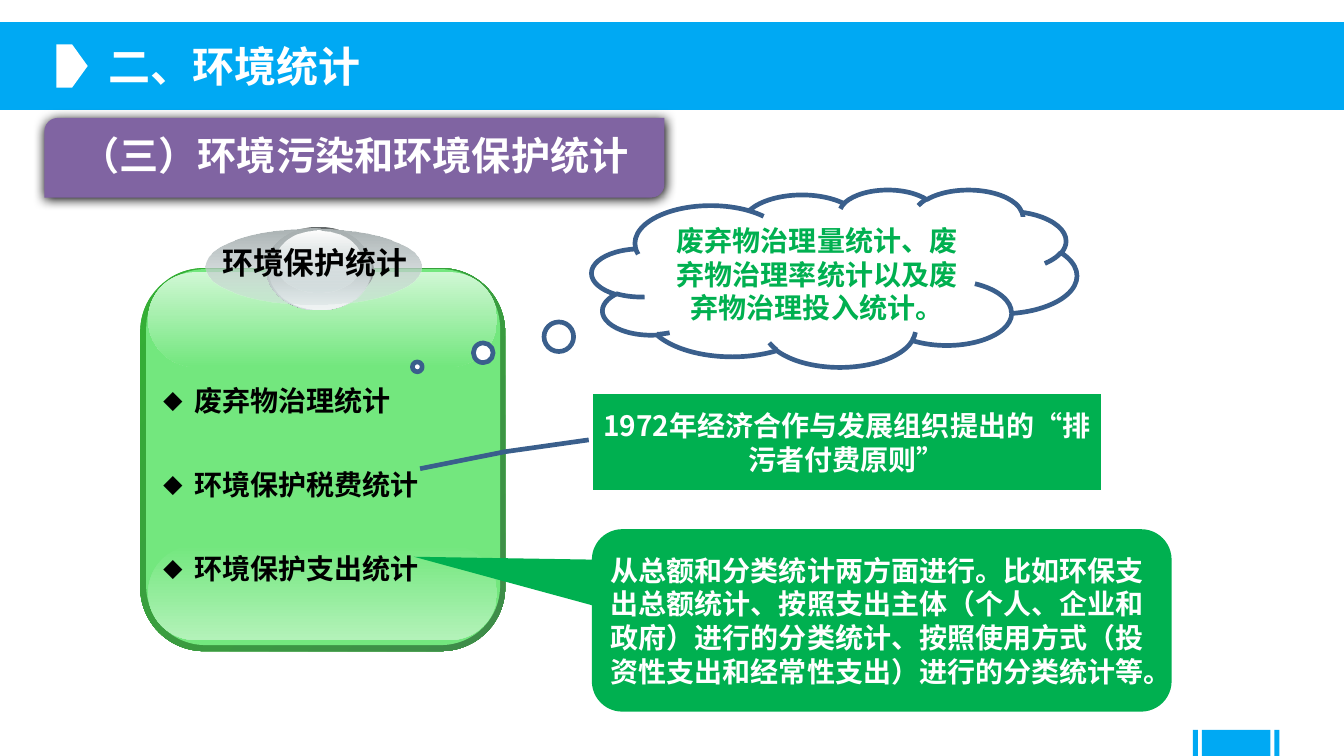
from lxml import etree
from pptx import Presentation
from pptx.dml.color import RGBColor
from pptx.enum.shapes import MSO_SHAPE
from pptx.enum.text import MSO_ANCHOR, PP_ALIGN
from pptx.oxml.ns import qn
from pptx.util import Inches, Pt

COLORS = {
    "blue": "00A9F3", "white": "FFFFFF", "black": "000000", "purple": "8064A2",
    "green": "00B050", "outline": "3A5F8C", "card": "73E77E", "mint": "B3F2B9",
    "pale": "D0F7D4", "rim": "34B034", "rim_dark": "3F8B4A", "charcoal": "333333",
    "iron": "636869", "silver": "D6E1E2", "frost": "F1F5F5", "gray": "AAB2B3",
}
FONT = "Noto Sans CJK SC"


def add_xml(parent, tag, **attrs):
    node = etree.SubElement(parent, qn(tag))
    for name, value in attrs.items():
        node.set(name, str(value))
    return node


class SlideBuilder:
    def __init__(self, prs):
        self.s = prs.slides.add_slide(prs.slide_layouts[6])

    def shape(self, kind, box, fill, line=None, adj=()):
        sp = self.s.shapes.add_shape(kind, *map(Inches, box))
        sp.shadow.inherit = False
        for i, value in enumerate(adj):
            sp.adjustments[i] = value
        sp.fill.solid()
        sp.fill.fore_color.rgb = RGBColor.from_string(COLORS[fill])
        if line:
            sp.line.color.rgb = RGBColor.from_string(COLORS[line])
            sp.line.width = Pt(3.35)
        else:
            sp.line.fill.background()
        return sp

    def gradient(self, kind, box, start, end, angle=90, adj=()):
        """Each stop is a colour name and an opacity in percent."""
        sp = self.shape(kind, box, start[0], adj=adj)
        solid = sp._element.spPr.find(qn("a:solidFill"))
        grad = etree.Element(qn("a:gradFill"), rotWithShape="1")
        stops = add_xml(grad, "a:gsLst")
        for pos, (color, opacity) in ((0, start), (100000, end)):
            stop = add_xml(stops, "a:gs", pos=pos)
            clr = add_xml(stop, "a:srgbClr", val=COLORS[color])
            if opacity < 100:
                add_xml(clr, "a:alpha", val=opacity * 1000)
        add_xml(grad, "a:lin", ang=angle * 60000, scaled=0)
        solid.getparent().replace(solid, grad)
        return sp

    def shadow(self, sp, blur, dist, angle):
        effects = sp._element.spPr.find(qn("a:effectLst"))
        outer = add_xml(effects, "a:outerShdw", blurRad=Pt(blur), dist=Pt(dist),
                        dir=angle * 60000, algn="ctr", rotWithShape=0)
        add_xml(outer, "a:srgbClr", val=COLORS["black"])

    def label(self, sp, lines, size, color, align=PP_ALIGN.CENTER, spacing=None,
              bullet=None, **frame):
        tf = sp.text_frame
        for name, value in ({"word_wrap": True} | frame).items():
            setattr(tf, name, value)
        for i, line in enumerate(lines):
            p = tf.add_paragraph() if i else tf.paragraphs[0]
            for name, value in {"alignment": align, "line_spacing": spacing}.items():
                setattr(p, name, value)
            if bullet:
                pPr = p._p.get_or_add_pPr()
                pPr.set("marL", str(Inches(0.31)))
                pPr.set("indent", str(-Inches(0.31)))
                add_xml(pPr, "a:buSzPct", val=70000)
                add_xml(pPr, "a:buFont", typeface=FONT)
                add_xml(pPr, "a:buChar", char=bullet)
            r = p.add_run()
            r.text = line
            for name, value in {"name": FONT, "size": Pt(size), "bold": True}.items():
                setattr(r.font, name, value)
            r.font.color.rgb = RGBColor.from_string(COLORS[color])
            rPr = r._r.get_or_add_rPr()
            rPr.set("lang", "zh-CN")
            add_xml(rPr, "a:ea", typeface=FONT)

    def text(self, box, lines, size, color, **style):
        tb = self.s.shapes.add_textbox(*map(Inches, box))
        self.label(tb, lines, size, color, **style)


def main():
    prs = Presentation()
    prs.slide_width, prs.slide_height = Inches(13.33), Inches(7.5)
    b = SlideBuilder(prs)
    rect, rounded, oval = MSO_SHAPE.RECTANGLE, MSO_SHAPE.ROUNDED_RECTANGLE, MSO_SHAPE.OVAL
    middle = {"vertical_anchor": MSO_ANCHOR.MIDDLE}

    # Header band and page tab
    b.shape(rect, (0, 0.22, 13.33, 0.87), "blue")
    for left, width in ((11.92, 0.68), (12.64, 0.05), (11.83, 0.05)):
        b.shape(rect, (left, 7.24, width, 0.27), "blue")

    # Section heading
    heading = b.shape(MSO_SHAPE.ROUND_2_DIAG_RECTANGLE, (0.44, 1.17, 6.15, 0.79), "purple")
    b.shadow(heading, 8.5, 1, 90)
    b.label(heading, ["（三）环境污染和环境保护统计"], 28, "white", spacing=0.9,
            margin_left=Inches(0.31), margin_right=Inches(0.31),
            margin_top=Inches(0.12), margin_bottom=Inches(0.12), **middle)

    # Slide title
    b.text((0.98, 0.35, 2.76, 0.65), ["二、环境统计"], 30, "white",
           align=PP_ALIGN.LEFT, word_wrap=False)
    b.shape(MSO_SHAPE.PENTAGON, (0.56, 0.44, 0.31, 0.43), "white")

    # Green card with glossy ends
    b.gradient(rounded, (1.39, 2.66, 3.62, 3.8), ("rim", 100), ("rim_dark", 100), 45, [0.175])
    b.shape(rounded, (1.45, 2.67, 3.51, 3.73), "card", adj=[0.167])
    for top, start, end in ((5.41, "card", "mint"), (2.7, "pale", "card")):
        b.gradient(rounded, (1.47, top, 3.46, 0.94), (start, 100), (end, 100), adj=[0.5])

    # Silver badge on the card
    b.shape(oval, (2.64, 2.36, 1.07, 0.64), "charcoal")
    for box, start, end in (
        ((2.64, 2.25, 1.04, 0.83), ("iron", 100), ("silver", 100)),
        ((2.66, 2.26, 1.02, 0.81), ("silver", 0), ("frost", 100)),
        ((2.04, 2.27, 2.14, 0.75), ("gray", 100), ("silver", 48)),
        ((2.73, 2.29, 0.86, 0.61), ("white", 100), ("silver", 38)),
    ):
        b.gradient(oval, box, start, end)
    b.text((2.05, 2.37, 2.14, 0.47), ["环境保护统计"], 22, "black", word_wrap=False)

    # Card list
    b.text((1.52, 3.26, 3.44, 2.48),
           ["废弃物治理统计", "环境保护税费统计", "环境保护支出统计"], 20, "black",
           align=PP_ALIGN.LEFT, spacing=2.5, bullet="◆")

    # Callouts, one for each list item
    cloud = b.shape(MSO_SHAPE.CLOUD_CALLOUT, (5.87, 1.88, 4.81, 1.76), "white", "outline",
                    [-0.86, 0.5])
    b.label(cloud, ["废弃物治理量统计、废弃物治理率统计以及废弃物治理投入统计。"],
            20, "green", **middle)
    principle = b.shape(MSO_SHAPE.LINE_CALLOUT_2_NO_BORDER, (5.88, 3.91, 5.04, 0.95),
                        "green", "outline", [0.478, -0.008, 0.602, -0.173, 0.779, -0.34])
    b.label(principle, ["1972年经济合作与发展组织提出的“排污者付费原则”"], 20, "white", **middle)
    spending = b.shape(MSO_SHAPE.ROUNDED_RECTANGULAR_CALLOUT, (5.87, 5.25, 5.75, 1.81),
                       "green", adj=[-0.807, -0.349, 0.167])
    b.label(spending, ["从总额和分类统计两方面进行。比如环保支出总额统计、按照支出主体（个人、"
                       "企业和政府）进行的分类统计、按照使用方式（投资性支出和经常性支出）"
                       "进行的分类统计等。"], 20, "white", align=PP_ALIGN.LEFT, **middle)

    prs.save("out.pptx")


if __name__ == "__main__":
    main()
